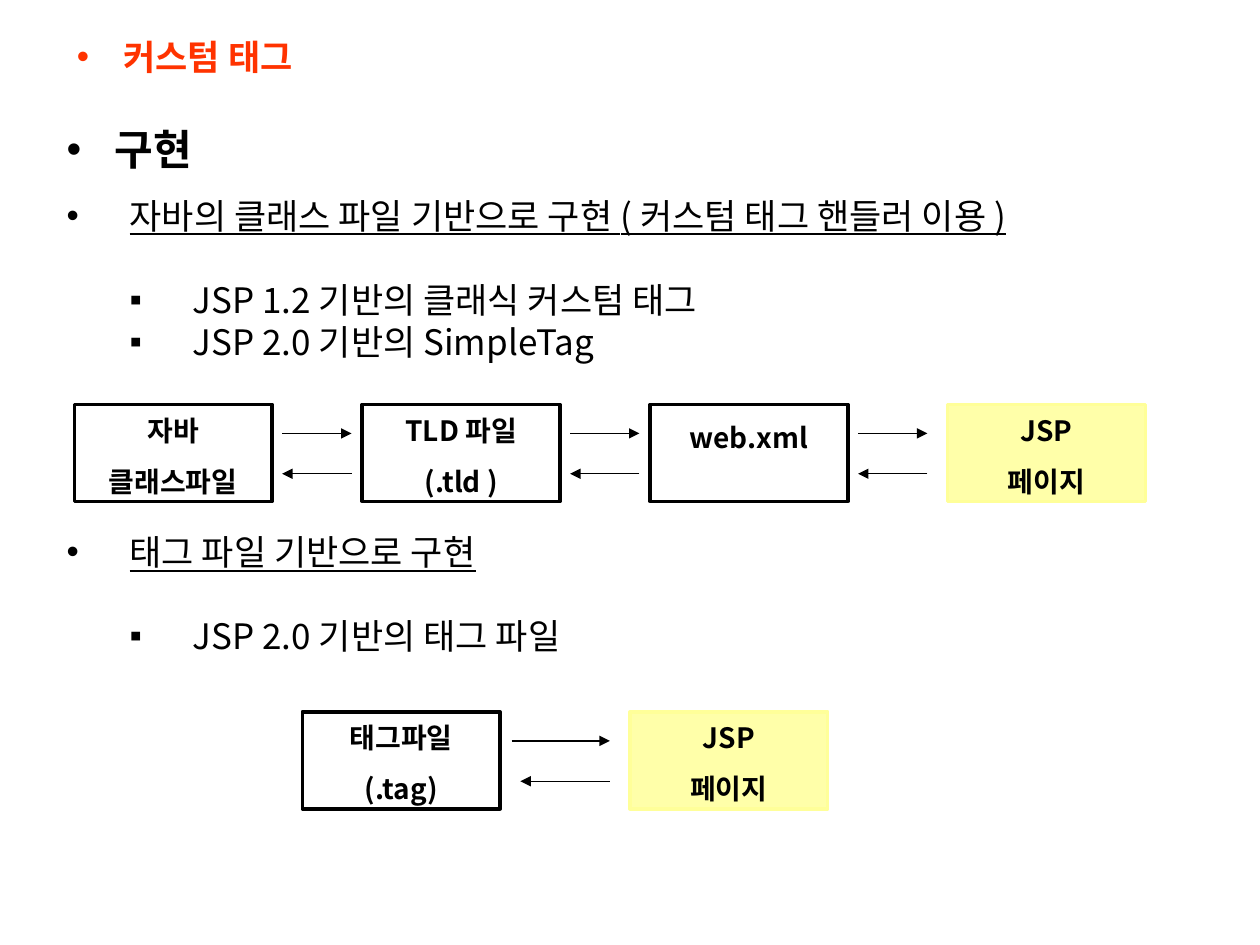
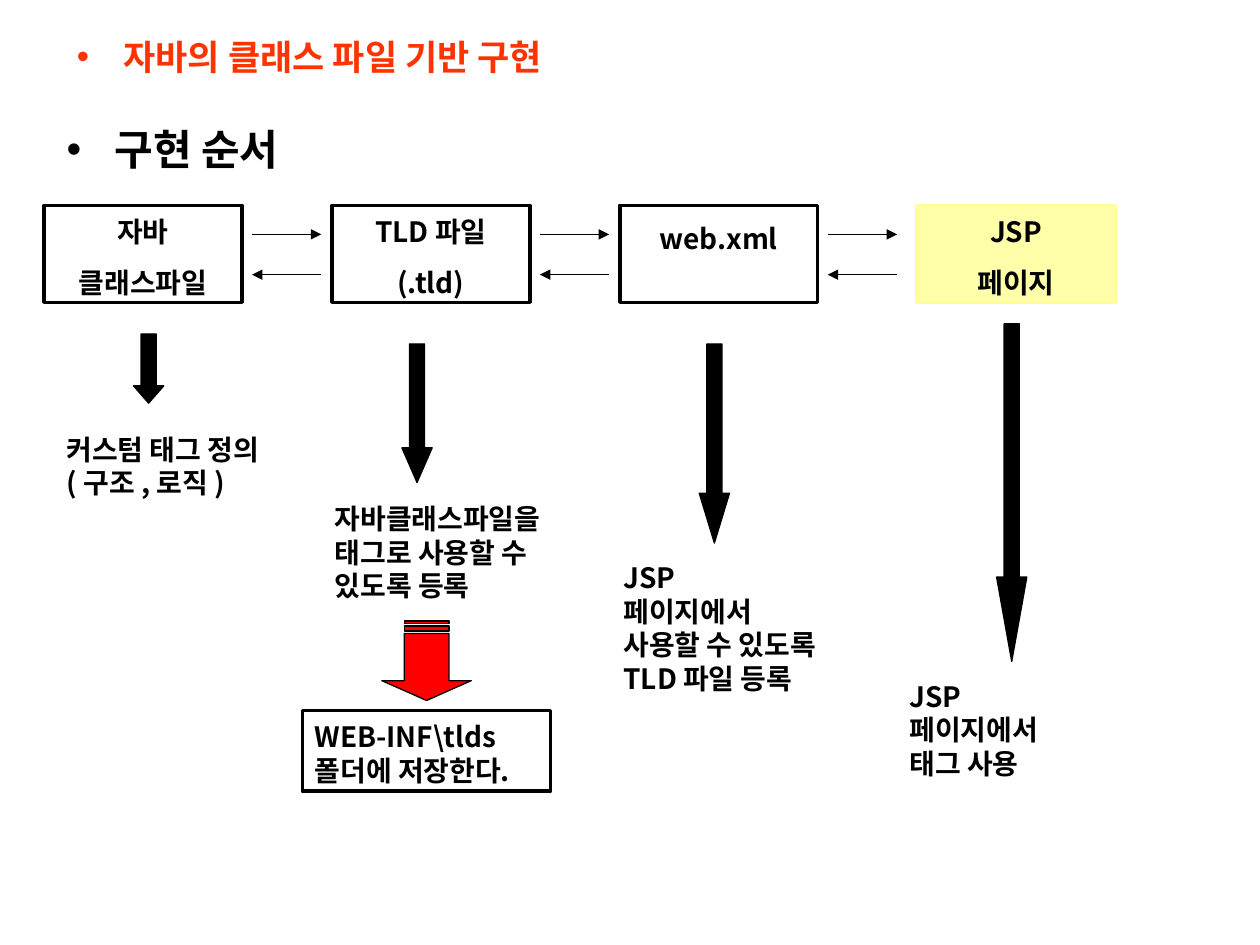
from dataclasses import dataclass
from lxml.etree import SubElement as Sub
from pptx import Presentation
from pptx.dml.color import RGBColor as RGB
from pptx.enum.shapes import MSO_CONNECTOR as Link, MSO_SHAPE as Shape
from pptx.enum.text import MSO_ANCHOR as Anchor, PP_ALIGN as Align
from pptx.oxml.ns import qn
from pptx.util import Inches, Pt


@dataclass(frozen=True)
class Theme:
    font: str = "Noto Sans CJK KR"
    ink: str = "000000"
    red: str = "FF3300"
    alert: str = "FF0000"
    page: str = "FFFF66"
    edge: str = "FFFF99"
    alpha: int = 56000
    title: int = 20
    head: int = 24
    body: int = 20
    label: int = 16
    pitch: float = 1.2
    thin: float = 0.75
    thick: int = 2


BOX_W, BOX_H = 1.57, 0.77
STEP = 2.285
LAST = 6.93
GO, BACK = 0.23, 0.55
JSP = ["JSP", "페이지"]


class Deck:
    def __init__(self, look):
        self.look = look
        self.prs = Presentation()
        self.prs.slide_width = Inches(10)
        self.prs.slide_height = Inches(7.5)
        self.slide = None

    def start(self, title, head):
        self.slide = self.prs.slides.add_slide(self.prs.slide_layouts[5])
        look = self.look
        name = self.slide.shapes.title
        name.left, name.top = Inches(0.51), Inches(0.21)
        name.width, name.height = Inches(8.43), Inches(0.44)
        frame = self.frame(name)
        self.para(frame, title, look.title, look.red, True, "•", 0.37, 0.37)
        frame = self.area(0.43, 0.91, 8.82, 0.5)
        self.para(frame, head, look.head, look.ink, True, "•", 0.38, 0.38)

    def frame(self, shape, anchor=Anchor.TOP):
        frame = shape.text_frame
        frame.word_wrap = True
        frame.vertical_anchor = anchor
        frame.margin_left = frame.margin_right = Inches(0.1)
        frame.margin_top, frame.margin_bottom = Inches(0.07), Inches(0.03)
        return frame

    def area(self, x, y, w, h):
        box = self.slide.shapes.add_textbox(Inches(x), Inches(y), Inches(w), Inches(h))
        return self.frame(box)

    def para(self, frame, text, size, color, bold=False, mark=None,
             left=0, hang=0, gap=0, align=Align.LEFT, under=False):
        first = frame.paragraphs[0]
        par = frame.add_paragraph() if first.runs else first
        if mark:
            props = par._p.get_or_add_pPr()
            props.set("marL", str(Inches(left)))
            props.set("indent", str(-Inches(hang)))
            Sub(props, qn("a:buFont"), typeface="Arial")
            Sub(props, qn("a:buChar"), char=mark)
        par.alignment = align
        par.line_spacing = Pt(size * self.look.pitch)
        par.space_before = Pt(gap)
        run = par.add_run()
        run.text = text
        font = run.font
        font.name, font.size, font.bold = self.look.font, Pt(size), bold
        font.underline = under
        font.color.rgb = RGB.from_string(color)
        Sub(font._element, qn("a:ea"), typeface=self.look.font)

    def points(self, y, h, main, subs):
        look = self.look
        frame = self.area(0.43, y, 8.82, h)
        self.para(frame, main, look.body, look.ink, mark="•", left=0.5, hang=0.5, under=True)
        for i, text in enumerate(subs):
            gap = 0 if i else look.body * look.pitch
            self.para(frame, text, look.body, look.ink, mark="▪", left=1, hang=0.5, gap=gap)

    def shape(self, kind, x, y, w, h, fill, line, width):
        shape = self.slide.shapes.add_shape(kind, Inches(x), Inches(y), Inches(w), Inches(h))
        shape.shadow.inherit = False
        if fill:
            shape.fill.solid()
            shape.fill.fore_color.rgb = RGB.from_string(fill)
        else:
            shape.fill.background()
        shape.line.color.rgb = RGB.from_string(line)
        shape.line.width = Pt(width)
        return shape

    def box(self, x, y, lines, page=False):
        look = self.look
        fill, line = (look.page, look.edge) if page else (None, look.ink)
        box = self.shape(Shape.RECTANGLE, x, y, BOX_W, BOX_H, fill, line, look.thick)
        if page:
            tint = box.fill._xPr.find(qn("a:solidFill"))[0]
            Sub(tint, qn("a:alpha"), val=str(look.alpha))
        frame = self.frame(box, Anchor.MIDDLE)
        if len(lines) == 1:
            frame.margin_bottom = Inches(0.32)
        for i, text in enumerate(lines):
            self.para(frame, text, look.label, look.ink, True,
                      gap=10 if i else 0, align=Align.CENTER)

    def arrow(self, start, end, y):
        line = self.slide.shapes.add_connector(
            Link.STRAIGHT, Inches(start), Inches(y), Inches(end), Inches(y))
        line.line.color.rgb = RGB.from_string(self.look.ink)
        line.line.width = Pt(self.look.thin)
        Sub(line.line._get_or_add_ln(), qn("a:tailEnd"), type="triangle")
        Sub(line._element.spPr, qn("a:effectLst"))

    def flow(self, x, y, tld):
        files = [["자바", "클래스파일"], ["TLD 파일", tld], ["web.xml"]]
        for i, lines in enumerate(files):
            left = x + i * STEP
            self.box(left, y, lines)
            start, end = left + 1.65, left + 2.2
            self.arrow(start, end, y + GO)
            self.arrow(end, start, y + BACK)
        self.box(x + LAST, y, JSP, True)

    def drop(self, x, y, h):
        w = 0.24
        look = self.look
        arrow = self.shape(Shape.DOWN_ARROW, x, y, w, h, look.ink, look.ink, look.thin)
        arrow.adjustments[1] = h / 4 / w

    def lines(self, frame, texts):
        for text in texts:
            self.para(frame, text, self.look.label, self.look.ink, True)

    def note(self, x, y, texts):
        self.lines(self.area(x, y, 2.1, 0.1 + 0.27 * len(texts)), texts)

    def store(self, texts):
        look = self.look
        arrow = self.shape(Shape.STRIPED_RIGHT_ARROW, 3.07, 4.89, 0.63, 0.71,
                           look.alert, look.ink, look.thin)
        arrow.rotation = 90
        arrow.adjustments[1] = 0.25
        box = self.shape(Shape.RECTANGLE, 2.4, 5.64, 1.97, 0.64, None, look.ink, look.thick)
        self.lines(self.frame(box), texts)


def tags(deck):
    deck.start("커스텀 태그", "구현")
    deck.points(1.47, 1.82, "자바의 클래스 파일 기반으로 구현 ( 커스텀 태그 핸들러 이용 )",
                ["JSP 1.2 기반의 클래식 커스텀 태그", "JSP 2.0 기반의 SimpleTag"])
    deck.points(4.14, 1.15, "태그 파일 기반으로 구현", ["JSP 2.0 기반의 태그 파일"])
    deck.flow(0.59, 3.21, "(.tld )")
    top = 5.65
    deck.box(2.4, top, ["태그파일", "(.tag)"])
    deck.box(5, top, JSP, True)
    deck.arrow(4.06, 4.84, top + GO)
    deck.arrow(4.84, 4.13, top + BACK)


def steps(deck):
    deck.start("자바의 클래스 파일 기반 구현", "구현 순서")
    deck.flow(0.35, 1.63, "(.tld)")
    for x, y, h in [(1.06, 2.65, 0.55), (3.19, 2.73, 1.1),
                    (5.55, 2.73, 1.58), (7.91, 2.57, 2.68)]:
        deck.drop(x, y, h)
    deck.note(0.43, 3.36, ["커스텀 태그 정의", "( 구조 , 로직 )"])
    deck.note(2.56, 3.91, ["자바클래스파일을", "태그로 사용할 수", "있도록 등록"])
    deck.note(4.85, 4.38, ["JSP", "페이지에서", "사용할 수 있도록", "TLD 파일 등록"])
    deck.note(7.12, 5.32, ["JSP", "페이지에서", "태그 사용"])
    deck.store(["WEB-INF\\tlds", "폴더에 저장한다."])


def main():
    deck = Deck(Theme())
    tags(deck)
    steps(deck)
    deck.prs.save("out.pptx")


if __name__ == "__main__":
    main()
